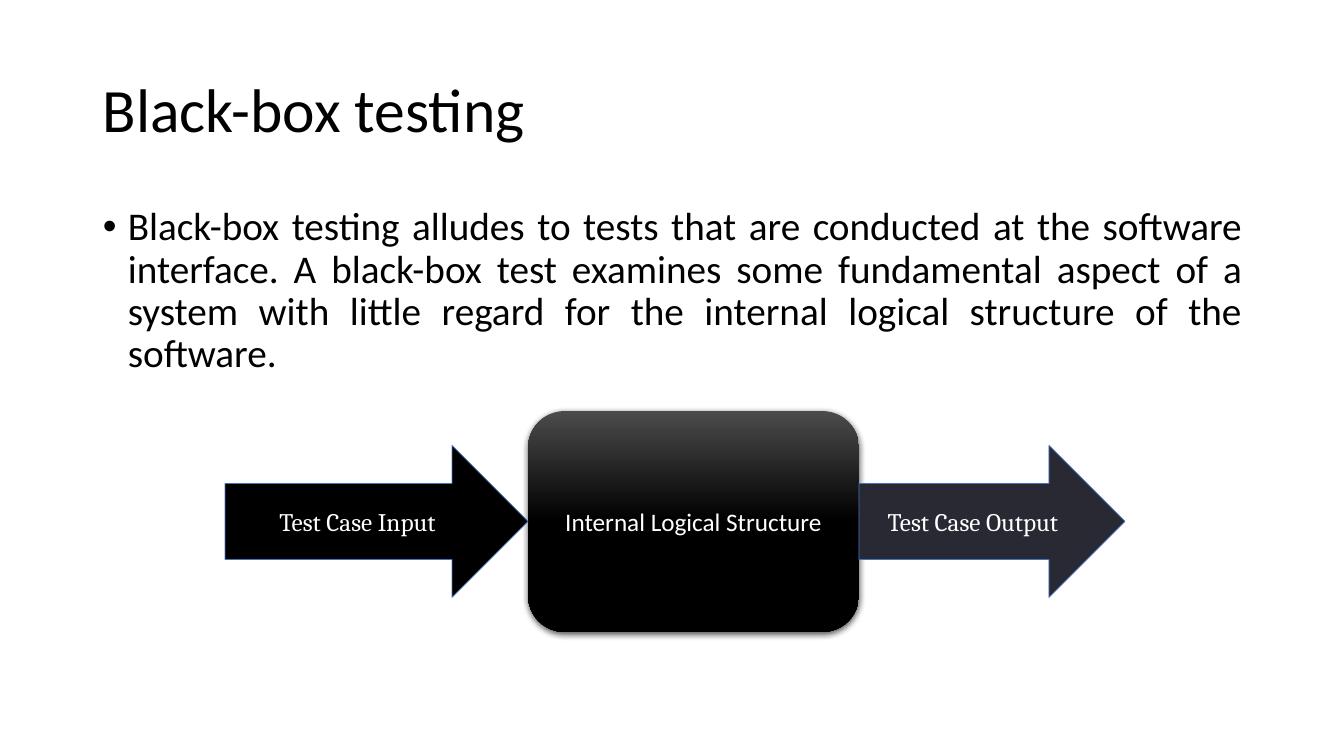
from lxml import etree
from pptx import Presentation
from pptx.dml.color import RGBColor
from pptx.enum.shapes import MSO_SHAPE
from pptx.enum.text import MSO_ANCHOR, PP_ALIGN
from pptx.oxml.ns import qn
from pptx.util import Pt

ROUNDED, ARROW = MSO_SHAPE.ROUNDED_RECTANGLE, MSO_SHAPE.RIGHT_ARROW
TOP, MIDDLE = MSO_ANCHOR.TOP, MSO_ANCHOR.MIDDLE
LEFT, CENTER, JUSTIFY = PP_ALIGN.LEFT, PP_ALIGN.CENTER, PP_ALIGN.JUSTIFY

BLACK = RGBColor(0x00, 0x00, 0x00)
WHITE = RGBColor(0xFF, 0xFF, 0xFF)
CHARCOAL = RGBColor(0x4B, 0x4B, 0x4B)
SLATE = RGBColor(0x29, 0x29, 0x34)
BLUE = RGBColor(0x44, 0x72, 0xC4)

TITLE = "Black-box testing"
BODY = (
    "Black-box testing alludes to tests that are conducted at the software interface. "
    "A black-box test examines some fundamental aspect of a system with little regard "
    "for the internal logical structure of the software."
)
BOX_LABEL = "Internal Logical Structure"
INPUT_ARROW = ("Test Case Input", 303, BLACK)
OUTPUT_ARROW = ("Test Case Output", 266, SLATE)

SCALE = 914400 / 100.8
SLIDE_WIDTH, SLIDE_HEIGHT = 1344, 756
MARGIN = 93
TEXT_WIDTH = 1159
BOX_LEFT, BOX_TOP, BOX_WIDTH, BOX_HEIGHT = 528, 411, 331, 221
ARROW_HEIGHT = 152
BULLET_INDENT = 25


def px(length):
    return round(length * SCALE)


def place(left, top, width, height):
    return px(left), px(top), px(width), px(height)


def write(shape, text, size, color, font="Calibri", align=LEFT, anchor=MIDDLE):
    frame = shape.text_frame
    frame.word_wrap = True
    frame.vertical_anchor = anchor
    paragraph = frame.paragraphs[0]
    paragraph.alignment = align
    run = paragraph.add_run()
    run.text = text
    run.font.name = font
    run.font.size = Pt(size)
    run.font.color.rgb = color
    return paragraph


def add_bullet(paragraph):
    properties = paragraph._p.get_or_add_pPr()
    properties.set("marL", str(px(BULLET_INDENT)))
    properties.set("indent", str(-px(BULLET_INDENT)))
    etree.SubElement(properties, qn("a:buFont"), typeface="Arial")
    etree.SubElement(properties, qn("a:buChar"), char="•")


def add_shadow(shape):
    effects = shape._element.spPr.find(qn("a:effectLst"))
    shadow = etree.SubElement(
        effects, qn("a:outerShdw"), blurRad=str(Pt(4.5)), dist=str(Pt(1.5)),
        dir="5400000", algn="ctr", rotWithShape="0",
    )
    color = etree.SubElement(shadow, qn("a:srgbClr"), val=str(BLACK))
    etree.SubElement(color, qn("a:alpha"), val="63000")


def add_box(slide):
    box = slide.shapes.add_shape(ROUNDED, *place(BOX_LEFT, BOX_TOP, BOX_WIDTH, BOX_HEIGHT))
    box.shadow.inherit = False
    box.line.fill.background()
    box.fill.gradient()
    box.fill.gradient_angle = 270
    for stop, position, color in zip(box.fill.gradient_stops, (0, 0.5), (CHARCOAL, BLACK)):
        stop.position = position
        stop.color.rgb = color
    add_shadow(box)
    write(box, BOX_LABEL, 18, WHITE, align=CENTER)


def add_arrow(slide, left, label, width, color):
    top = BOX_TOP + (BOX_HEIGHT - ARROW_HEIGHT) / 2
    arrow = slide.shapes.add_shape(ARROW, *place(left, top, width, ARROW_HEIGHT))
    arrow.shadow.inherit = False
    arrow.fill.solid()
    arrow.fill.fore_color.rgb = color
    arrow.line.color.rgb = BLUE
    arrow.line.width = Pt(0.5)
    write(arrow, label, 18, WHITE, "Cambria", CENTER)


def main():
    presentation = Presentation()
    presentation.slide_width = px(SLIDE_WIDTH)
    presentation.slide_height = px(SLIDE_HEIGHT)
    slide = presentation.slides.add_slide(presentation.slide_layouts[6])

    title = slide.shapes.add_textbox(*place(MARGIN, 40, TEXT_WIDTH, 146))
    write(title, TITLE, 44, BLACK).line_spacing = 0.9

    body = slide.shapes.add_textbox(*place(MARGIN, 202, TEXT_WIDTH, 480))
    paragraph = write(body, BODY, 28, BLACK, align=JUSTIFY, anchor=TOP)
    add_bullet(paragraph)
    paragraph.line_spacing = 0.9

    add_box(slide)
    add_arrow(slide, BOX_LEFT - INPUT_ARROW[1], *INPUT_ARROW)
    add_arrow(slide, BOX_LEFT + BOX_WIDTH, *OUTPUT_ARROW)
    presentation.save("out.pptx")


if __name__ == "__main__":
    main()
